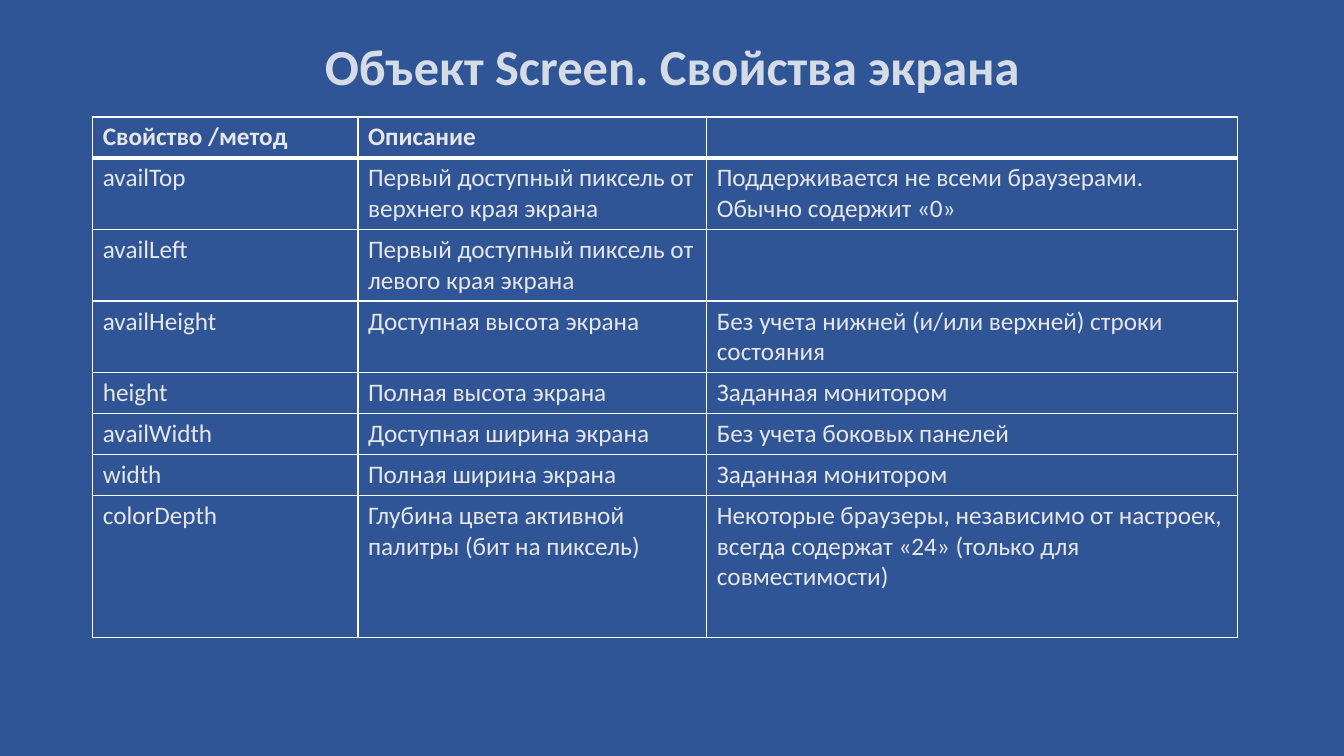
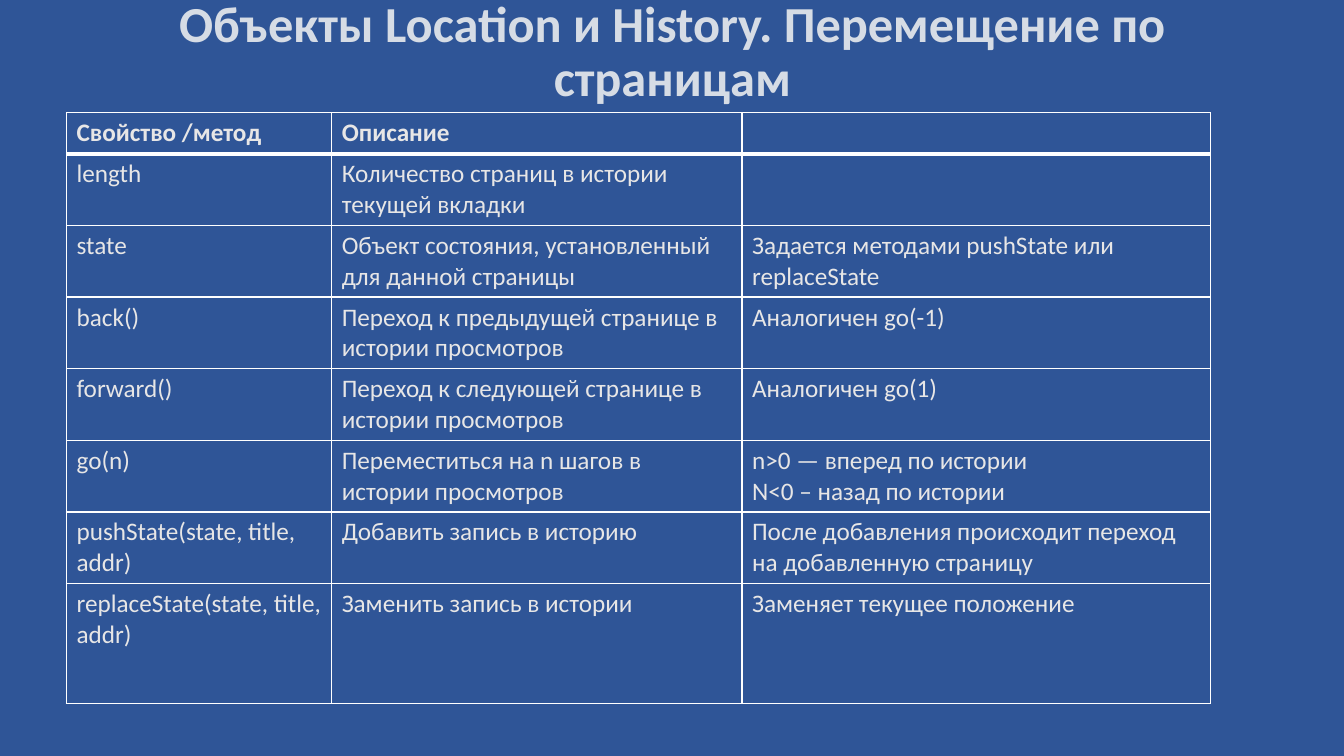
import lxml.etree
import pptx
import pptx.dml.color
import pptx.enum.text
import pptx.oxml.ns
import pptx.util
from pptx.util import Inches

THEME = {
    "background": pptx.dml.color.RGBColor.from_string("2F5597"),
    "border": "FFFFFF",
    "thin": pptx.util.Pt(1),
    "thick": pptx.util.Pt(3),
    "title": {"name": "Calibri", "size": pptx.util.Pt(36), "bold": True},
    "title_color": pptx.dml.color.RGBColor.from_string("D6DCE5"),
    "header": {"name": "Calibri", "size": pptx.util.Pt(18), "bold": True},
    "body": {"name": "Calibri", "size": pptx.util.Pt(18), "bold": False},
    "cell_color": pptx.dml.color.RGBColor.from_string("E7E6E6"),
}
HEADINGS = ("Свойство /метод", "Описание", "")
HEADER_HEIGHT = 0.4
ROW_HEIGHTS = {1: 0.4, 2: 0.71}

PAGES = [
    {
        "title": "Объект Screen. Свойства экрана",
        "title_top": 0.31,
        "table_at": (0.92, 1.16),
        "columns": (2.63, 3.46, 5.26),
        "lines": (2, 2, 2, 1, 1, 1),
        "last_height": 1.41,
        "rows": [
            ("availTop", "Первый доступный пиксель от верхнего края экрана",
             "Поддерживается не всеми браузерами. Обычно содержит «0»"),
            ("availLeft", "Первый доступный пиксель от левого края экрана", ""),
            ("availHeight", "Доступная высота экрана",
             "Без учета нижней (и/или верхней) строки состояния"),
            ("height", "Полная высота экрана", "Заданная монитором"),
            ("availWidth", "Доступная ширина экрана", "Без учета боковых панелей"),
            ("width", "Полная ширина экрана", "Заданная монитором"),
            ("colorDepth", "Глубина цвета активной палитры (бит на пиксель)",
             "Некоторые браузеры, независимо от настроек, всегда содержат «24» "
             "(только для совместимости)"),
        ],
    },
    {
        "title": "Объекты Location и History. Перемещение по страницам",
        "title_top": 0.42,
        "table_at": (0.66, 1.12),
        "columns": (2.63, 4.07, 4.65),
        "lines": (2,) * 6,
        "last_height": 1.19,
        "rows": [
            ("length", "Количество страниц в истории текущей вкладки", ""),
            ("state", "Объект состояния, установленный для данной страницы",
             "Задается методами pushState или replaceState"),
            ("back()", "Переход к предыдущей странице в истории просмотров",
             "Аналогичен go(-1)"),
            ("forward()", "Переход к следующей странице в истории просмотров",
             "Аналогичен go(1)"),
            ("go(n)", "Переместиться на n шагов в истории просмотров",
             "n>0 — вперед по истории\nN<0 – назад по истории"),
            ("pushState(state, title, addr)", "Добавить запись в историю",
             "После добавления происходит переход на добавленную страницу"),
            ("replaceState(state, title, addr)", "Заменить запись в истории",
             "Заменяет текущее положение"),
        ],
    },
]


def write_text(frame, text, style, color):
    frame.text = text
    for para in frame.paragraphs:
        for span in para.runs:
            for name, value in style.items():
                setattr(span.font, name, value)
            span.font.color.rgb = color


def draw_borders(cell, widths):
    properties = cell._tc.get_or_add_tcPr()
    for position, (side, width) in enumerate(widths.items()):
        line = lxml.etree.Element(pptx.oxml.ns.qn(f"a:ln{side}"), w=str(width))
        fill = lxml.etree.SubElement(line, pptx.oxml.ns.qn("a:solidFill"))
        lxml.etree.SubElement(fill, pptx.oxml.ns.qn("a:srgbClr"), val=THEME["border"])
        properties.insert(position, line)


deck = pptx.Presentation()
deck.slide_width = Inches(13.33)
deck.slide_height = Inches(7.5)

for content in PAGES:
    page = deck.slides.add_slide(deck.slide_layouts[6])
    page.background.fill.solid()
    page.background.fill.fore_color.rgb = THEME["background"]

    box = page.shapes.add_textbox(
        Inches(1.67), Inches(content["title_top"]), Inches(10), Inches(0.7))
    frame = box.text_frame
    frame.word_wrap = True
    frame.auto_size = pptx.enum.text.MSO_AUTO_SIZE.NONE
    frame.vertical_anchor = pptx.enum.text.MSO_ANCHOR.BOTTOM
    write_text(frame, content["title"], THEME["title"], THEME["title_color"])
    frame.paragraphs[0].alignment = pptx.enum.text.PP_ALIGN.CENTER
    frame.paragraphs[0].line_spacing = 0.9

    rows = [HEADINGS] + content["rows"]
    heights = [HEADER_HEIGHT]
    heights += [ROW_HEIGHTS[count] for count in content["lines"]]
    heights.append(content["last_height"])
    left, top = content["table_at"]
    table = page.shapes.add_table(
        len(rows), len(HEADINGS), Inches(left), Inches(top),
        Inches(sum(content["columns"])), Inches(sum(heights))).table
    table.horz_banding = False
    for column, width in zip(table.columns, content["columns"]):
        column.width = Inches(width)

    for row_index, (texts, height) in enumerate(zip(rows, heights)):
        table.rows[row_index].height = Inches(height)
        style = THEME["header"] if row_index == 0 else THEME["body"]
        widths = dict.fromkeys("LRTB", THEME["thin"])
        if row_index < 2:
            widths["B" if row_index == 0 else "T"] = THEME["thick"]
        for column_index, text in enumerate(texts):
            cell = table.cell(row_index, column_index)
            cell.fill.background()
            write_text(cell.text_frame, text, style, THEME["cell_color"])
            draw_borders(cell, widths)

deck.save("out.pptx")
